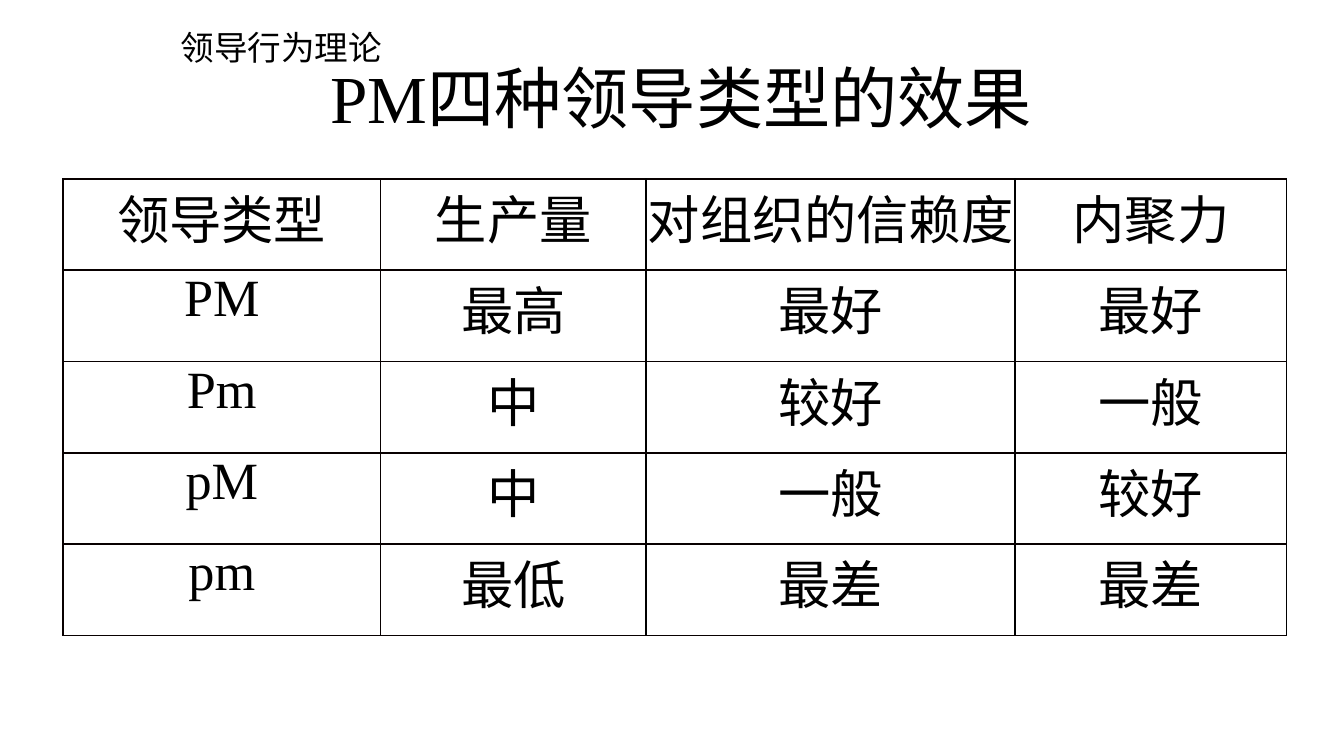
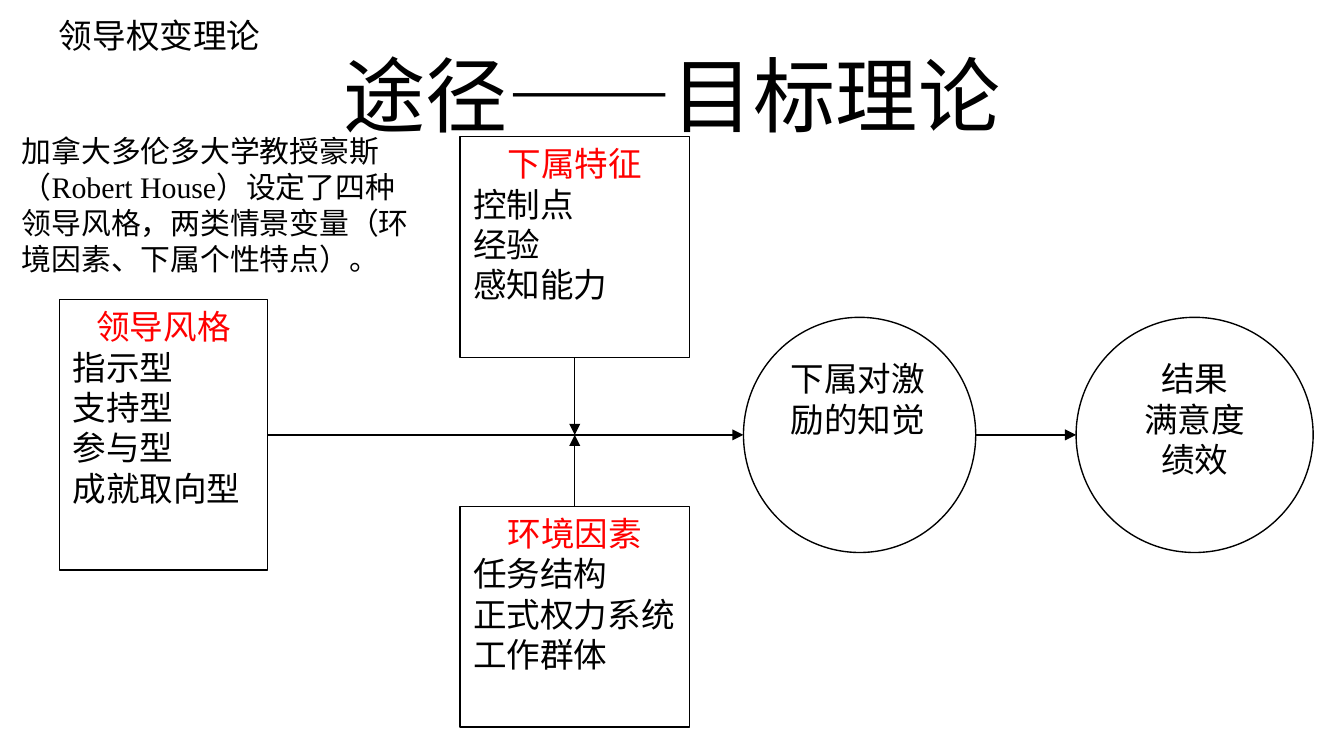
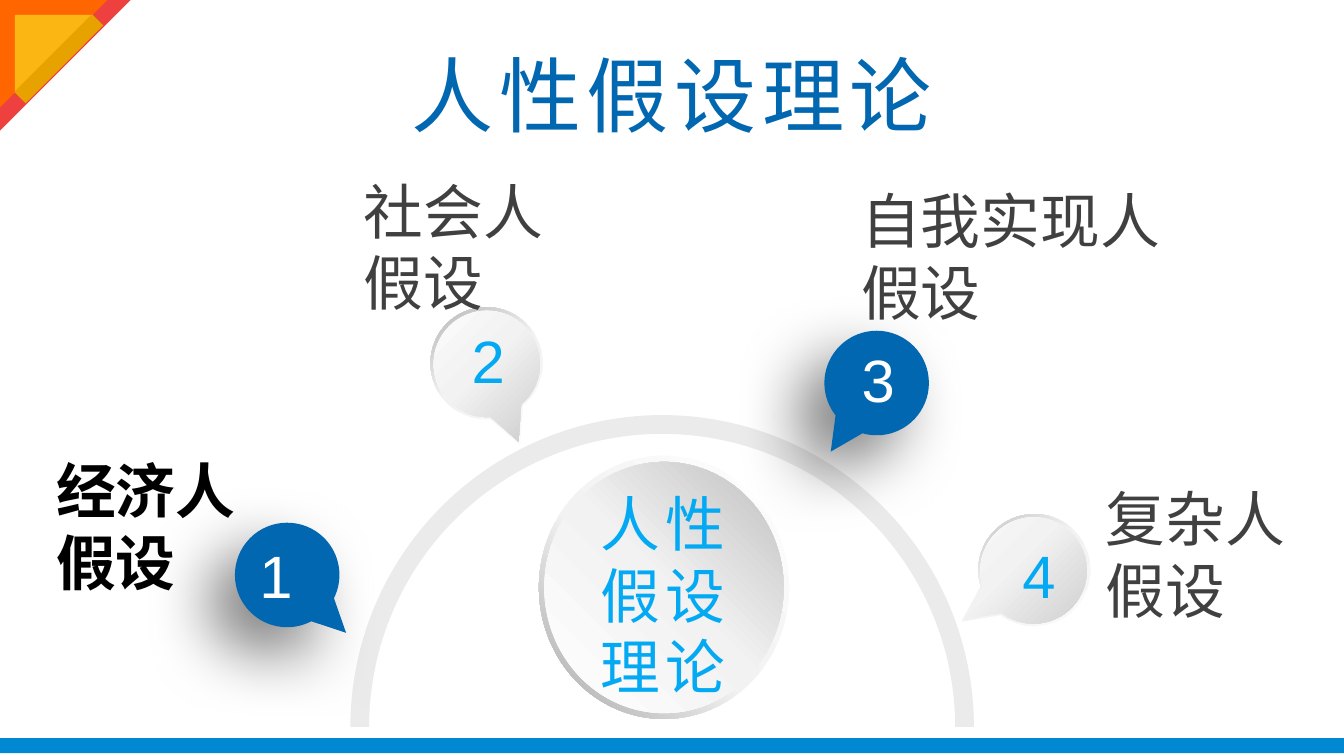
"""Build three slides on leadership and human-nature theories."""
import math
from dataclasses import dataclass
from itertools import pairwise
from typing import Optional, Sequence

from lxml import etree
from pptx import Presentation
from pptx.dml.color import RGBColor
from pptx.enum.shapes import MSO_CONNECTOR, MSO_SHAPE
from pptx.enum.text import MSO_ANCHOR, MSO_AUTO_SIZE, PP_ALIGN
from pptx.oxml import parse_xml
from pptx.oxml.ns import nsdecls, qn
from pptx.util import Pt

LEFT, CENTER = PP_ALIGN.LEFT, PP_ALIGN.CENTER
TOP, MIDDLE = MSO_ANCHOR.TOP, MSO_ANCHOR.MIDDLE
GROW = MSO_AUTO_SIZE.SHAPE_TO_FIT_TEXT
STRAIGHT = MSO_CONNECTOR.STRAIGHT
RECT, OVAL, DONUT = MSO_SHAPE.RECTANGLE, MSO_SHAPE.OVAL, MSO_SHAPE.DONUT
ARC, TRIANGLE = MSO_SHAPE.BLOCK_ARC, MSO_SHAPE.RIGHT_TRIANGLE

COLORS = {
    "black": "000000", "border": "080000", "white": "FFFFFF", "red": "FF0000",
    "blue": "0067B0", "sky": "03A9F3", "band": "0089D2", "gray": "404040",
    "arc": "EBEBEB", "coral": "EE403F", "orange": "FF6600",
    "yellow": "FBB614", "gold": "E7A200",
}
TIMES, CALIBRI, ARIAL, NOTO = "Times New Roman", "Calibri", "Arial", "Noto Sans CJK SC"


@dataclass(frozen=True)
class Box:
    left: float
    top: float
    width: float
    height: float

    @property
    def mid_x(self) -> float:
        return self.left + self.width / 2

    @property
    def mid_y(self) -> float:
        return self.top + self.height / 2

    def emu(self) -> tuple:
        return Pt(self.left), Pt(self.top), Pt(self.width), Pt(self.height)


@dataclass(frozen=True)
class Style:
    size: float
    font: str
    color: str = "black"
    align: PP_ALIGN = LEFT
    bold: bool = False
    spacing: float = 0
    before: float = 0
    leading: float = 1.2


@dataclass(frozen=True)
class Gradient:
    stops: tuple
    angle: int


@dataclass(frozen=True)
class Factor:
    box: Box
    heading: str
    items: tuple


@dataclass(frozen=True)
class Callout:
    number: str
    cx: float
    cy: float
    rotation: float
    raised: bool
    number_box: Box
    label: str
    label_box: Box
    label_style: Style


@dataclass(frozen=True)
class CornerPiece:
    kind: MSO_SHAPE
    box: Box
    rotation: float
    color: str


TITLE_BOX = Box(36, 16.5, 648, 67.5)
TOPIC = Style(18, NOTO)
ITEM = Style(18, CALIBRI)
ITEM_CENTERED = Style(18, CALIBRI, align=CENTER)
HEADING = Style(18, CALIBRI, "red", CENTER)
CELL = Style(28, TIMES, align=CENTER, leading=0)
LABEL = Style(32, ARIAL, "gray")

RIM_STOPS = ((0, "FFFFFF"), (55, "F2F2F2"), (100, "A6A6A6"))
BUBBLE_RIM = Gradient(RIM_STOPS, 235)
BUBBLE_FACE = Gradient(((0, "FFFFFF"), (43, "F2F2F2"), (100, "BFBFBF")), 45)
HUB_RIM = Gradient(RIM_STOPS, 135)
HUB_FACE = Gradient(((0, "FFFFFF"), (51, "F2F2F2"), (100, "BFBFBF")), 315)

EFFECTS = (
    ("领导类型", "生产量", "对组织的信赖度", "内聚力"),
    ("PM", "最高", "最好", "最好"),
    ("Pm", "中", "较好", "一般"),
    ("pM", "中", "一般", "较好"),
    ("pm", "最低", "最差", "最差"),
)
COLUMN_WIDTHS = (170, 142.3, 197.7, 145.6)
ROW_HEIGHT = 48.9

LEADER_STYLE = Factor(Box(31.8, 160.5, 111.5, 145), "领导风格",
                      ("指示型", "支持型", "参与型", "成就取向型"))
FOLLOWERS = Factor(Box(246.4, 73.3, 123, 118.2), "下属特征", ("控制点", "经验", "感知能力"))
ENVIRONMENT = Factor(Box(246.4, 271.3, 123, 118.2), "环境因素",
                     ("任务结构", "正式权力系统", "工作群体"))
PERCEPTION = Box(398.3, 170, 124.4, 126)
RESULT = Box(576.5, 170, 127, 126)
AXIS_Y = LEADER_STYLE.box.mid_y

CALLOUTS = (
    Callout("1", 159.6, 313.7, 134.5, True, Box(131.8, 285.3, 32.5, 46), "经济人假设",
            Box(23, 239.7, 123.2, 85), Style(32, NOTO, bold=True)),
    Callout("2", 263.9, 202.6, 157.8, False, Box(245.5, 170, 32.5, 46), "社会人假设",
            Box(187.8, 89.9, 125.3, 85), LABEL),
    Callout("3", 465.1, 211.9, 213.8, True, Box(454.5, 180.3, 32.5, 46), "自我实现人假设",
            Box(454.3, 94.9, 175, 85), LABEL),
    Callout("4", 547, 310.4, 234.7, False, Box(540.6, 285.2, 33, 46), "复杂人假设",
            Box(585.2, 254.7, 123.2, 85), LABEL),
)
CORNER = (
    CornerPiece(TRIANGLE, Box(0, 0, 70, 70), 90, "coral"),
    CornerPiece(TRIANGLE, Box(0, 0, 57.6, 57.6), 90, "orange"),
    CornerPiece(TRIANGLE, Box(8, 8, 41, 41), 90, "yellow"),
    CornerPiece(RECT, Box(27.3, 2, 8.5, 59), 45, "gold"),
)


def rgb(name: str) -> RGBColor:
    return RGBColor.from_string(COLORS[name])


def write(tf, lines: Sequence[tuple]) -> None:
    for i, (text, style) in enumerate(lines):
        p = tf.add_paragraph() if i else tf.paragraphs[0]
        p.text = text
        p.alignment = style.align
        if style.leading:
            p.line_spacing = Pt(style.size * style.leading)
        if style.before:
            p.space_before = Pt(style.before)
        p.font.size = Pt(style.size)
        p.font.bold = style.bold
        p.font.name = style.font
        p.font.color.rgb = rgb(style.color)
        props = p.font._rPr
        if style.spacing:
            props.set("spc", str(int(style.spacing * 100)))
        etree.SubElement(props, qn("a:ea")).set("typeface", NOTO)


def add_text(slide, box: Box, text: str, style: Style, wrap: bool = True,
             grow: bool = True, anchor: MSO_ANCHOR = TOP):
    tf = slide.shapes.add_textbox(*box.emu()).text_frame
    tf.word_wrap = wrap
    tf.vertical_anchor = anchor
    if grow:
        tf.auto_size = GROW
    write(tf, [(text, style)])
    return tf.paragraphs[0]


def add_title(slide, text: str, size: float, font: str, color: str = "black",
              spacing: float = 0):
    style = Style(size, font, color, CENTER, spacing=spacing, leading=0)
    return add_text(slide, TITLE_BOX, text, style, grow=False, anchor=MIDDLE)


def paint(sp, color: str, outline: Optional[str] = None) -> None:
    sp.shadow.inherit = False
    sp.fill.solid()
    sp.fill.fore_color.rgb = rgb(color)
    if outline:
        sp.line.color.rgb = rgb(outline)
        sp.line.width = Pt(0.75)
    else:
        sp.line.fill.background()


def paint_gradient(sp, gradient: Gradient) -> None:
    paint(sp, "white")
    stops = "".join(f'<a:gs pos="{pos * 1000}"><a:srgbClr val="{color}"/></a:gs>'
                    for pos, color in gradient.stops)
    xml = (f'<a:gradFill {nsdecls("a")} rotWithShape="0"><a:gsLst>{stops}</a:gsLst>'
           f'<a:lin ang="{gradient.angle * 60000}" scaled="0"/></a:gradFill>')
    props = sp._element.spPr
    props.replace(props.find(qn("a:solidFill")), parse_xml(xml))


def cast_shadow(sp) -> None:
    xml = (f'<a:outerShdw {nsdecls("a")} blurRad="{Pt(35)}" dist="{Pt(20)}" '
           f'dir="{135 * 60000}" algn="ctr" rotWithShape="0"><a:srgbClr val="000000">'
           '<a:alpha val="50000"/></a:srgbClr></a:outerShdw>')
    sp._element.spPr.find(qn("a:effectLst")).append(parse_xml(xml))


def add_shape(slide, kind: MSO_SHAPE, box: Box, color: str,
              outline: Optional[str] = None, rotation: float = 0):
    sp = slide.shapes.add_shape(kind, *box.emu())
    sp.rotation = rotation
    paint(sp, color, outline)
    return sp


def add_node(slide, kind: MSO_SHAPE, box: Box, lines: Sequence[tuple]):
    sp = add_shape(slide, kind, box, "white", "black")
    sp.text_frame.word_wrap = True
    sp.text_frame.vertical_anchor = TOP
    write(sp.text_frame, lines)
    return sp


def add_factor(slide, factor: Factor):
    lines = [(factor.heading, HEADING)] + [(item, ITEM) for item in factor.items]
    return add_node(slide, RECT, factor.box, lines)


def add_arrow(slide, start: tuple, end: tuple, source=None, site: int = 0) -> None:
    line = slide.shapes.add_connector(STRAIGHT, *(Pt(v) for v in start + end))
    if source is not None:
        line.begin_connect(source, site)
    line.line.color.rgb = rgb("black")
    line.line.width = Pt(0.75)
    etree.SubElement(line.line._get_or_add_ln(), qn("a:tailEnd")).set("type", "triangle")
    etree.SubElement(line._element.spPr, qn("a:effectLst"))


def set_borders(cell, col: int) -> None:
    props = cell._tc.get_or_add_tcPr()
    thin_sides = {"lnL": col >= 2, "lnR": col >= 1, "lnT": False, "lnB": False}
    for i, (side, thin) in enumerate(thin_sides.items()):
        width, color = (0.75, "black") if thin else (1, "border")
        props.insert(i, parse_xml(
            f'<a:{side} {nsdecls("a")} w="{Pt(width)}"><a:solidFill>'
            f'<a:srgbClr val="{COLORS[color]}"/></a:solidFill></a:{side}>'))


def arc_points(cx: float, cy: float, r: float, angles: Sequence[float]) -> list:
    points = []
    for start, end in pairwise(math.radians(a) for a in angles):
        k = 4 / 3 * math.tan((end - start) / 4)
        cos_s, sin_s, cos_e, sin_e = (f(a) for a in (start, end) for f in (math.cos, math.sin))
        units = ((cos_s - k * sin_s, sin_s + k * cos_s),
                 (cos_e + k * sin_e, sin_e - k * cos_e), (cos_e, sin_e))
        points += [(Pt(cx + r * x), Pt(cy + r * y)) for x, y in units]
    return points


def add_bubble(slide, cx: float, cy: float, width: float, rotation: float):
    r, reach, gap = width / 2, 1.58, 18
    hub_y = cy + r * (reach - 1) / 2
    first = math.radians(gap - 90)
    neck = Pt(cx + r * math.cos(first)), Pt(hub_y + r * math.sin(first))
    builder = slide.shapes.build_freeform(Pt(cx), Pt(hub_y - r * reach))
    rim = arc_points(cx, hub_y, r, (gap - 90, 0, 90, 180, 270 - gap))
    builder.add_line_segments([neck] + rim, close=True)
    sp = builder.convert_to_shape()
    sp.rotation = rotation
    lines = list(sp._element.iter(qn("a:lnTo")))[1:]
    for i in range(0, len(lines), 3):
        curve = etree.Element(qn("a:cubicBezTo"))
        lines[i].addprevious(curve)
        for line in lines[i:i + 3]:
            curve.append(line[0])
            line.getparent().remove(line)
    return sp


def add_callout(slide, callout: Callout) -> None:
    place = callout.cx, callout.cy
    if callout.raised:
        sp = add_bubble(slide, *place, 56, callout.rotation)
        paint(sp, "blue")
        cast_shadow(sp)
        return
    for width, gradient in ((60, BUBBLE_RIM), (57, BUBBLE_FACE)):
        paint_gradient(add_bubble(slide, *place, width, callout.rotation), gradient)


def build_effects(slide) -> None:
    box = Box(33.8, 95.9, sum(COLUMN_WIDTHS), ROW_HEIGHT * len(EFFECTS))
    table = slide.shapes.add_table(len(EFFECTS), len(COLUMN_WIDTHS), *box.emu()).table
    table.first_row = table.horz_banding = False
    for column, width in zip(table.columns, COLUMN_WIDTHS):
        column.width = Pt(width)
    for i, row in enumerate(EFFECTS):
        for j, text in enumerate(row):
            cell = table.cell(i, j)
            cell.margin_left = cell.margin_right = cell.margin_top = cell.margin_bottom = 0
            cell.fill.background()
            write(cell.text_frame, [(text, CELL)])
            set_borders(cell, j)
    add_text(slide, Box(89.6, 10.8, 124, 29), "领导行为理论", TOPIC, wrap=False)
    p = add_title(slide, " ", 36, TIMES)
    p.runs[0].font.size = Pt(39.6)
    p.add_run().text = "PM四种领导类型的效果"


def build_path_goal(slide) -> None:
    environment = add_factor(slide, ENVIRONMENT)
    followers = add_factor(slide, FOLLOWERS)
    leader = add_factor(slide, LEADER_STYLE)
    add_node(slide, OVAL, PERCEPTION, [("下属对激励的知觉", ITEM)])
    add_node(slide, OVAL, RESULT,
             [(text, ITEM_CENTERED) for text in ("结果", "满意度", "绩效")])
    mid_x = FOLLOWERS.box.mid_x
    meeting = mid_x, AXIS_Y
    add_arrow(slide, (mid_x, FOLLOWERS.box.top + FOLLOWERS.box.height), meeting, followers, 2)
    add_arrow(slide, (mid_x, ENVIRONMENT.box.top), meeting, environment, 0)
    add_arrow(slide, (LEADER_STYLE.box.left + LEADER_STYLE.box.width, AXIS_Y),
              (PERCEPTION.left, PERCEPTION.mid_y), leader, 3)
    add_arrow(slide, (PERCEPTION.left + PERCEPTION.width, AXIS_Y), (RESULT.left, RESULT.mid_y))
    add_text(slide, Box(24.5, 4.5, 122.5, 29), "领导权变理论", TOPIC, wrap=False)
    add_title(slide, "途径——目标理论", 44, CALIBRI)
    add_text(slide, Box(4.7, 67.7, 227.5, 93),
             "加拿大多伦多大学教授豪斯（Robert House）设定了四种领导风格，"
             "两类情景变量（环境因素、下属个性特点）。",
             Style(16, TIMES, before=3), grow=False)


def build_human_nature(slide) -> None:
    add_title(slide, "人性假设理论", 44, ARIAL, "blue", 3)
    arc = add_shape(slide, ARC, Box(187.7, 222.4, 334, 334), "arc")
    for i, value in enumerate((108, 0, 0.03)):
        arc.adjustments[i] = value
    for callout in CALLOUTS:
        add_callout(slide, callout)
    rim = add_shape(slide, DONUT, Box(288.7, 244.2, 134, 141), "white")
    rim.adjustments[0] = 0.05
    paint_gradient(rim, HUB_RIM)
    face = add_shape(slide, OVAL, Box(291.6, 247.5, 128.2, 134.6), "white")
    paint_gradient(face, HUB_FACE)
    add_text(slide, Box(314.6, 257.2, 113, 124), "人性假设理论",
             Style(32, ARIAL, "sky", spacing=3))
    for callout in CALLOUTS:
        color = "white" if callout.raised else "sky"
        add_text(slide, callout.number_box, callout.number, Style(32, ARIAL, color), wrap=False)
        add_text(slide, callout.label_box, callout.label, callout.label_style)
    add_shape(slide, RECT, Box(0, 395.5, 720, 8), "band")
    for piece in CORNER:
        add_shape(slide, piece.kind, piece.box, piece.color, rotation=piece.rotation)


def main() -> None:
    prs = Presentation()
    prs.slide_width, prs.slide_height = Pt(720), Pt(405)
    for build in (build_effects, build_path_goal, build_human_nature):
        build(prs.slides.add_slide(prs.slide_layouts[6]))
    prs.save("out.pptx")


if __name__ == "__main__":
    main()
